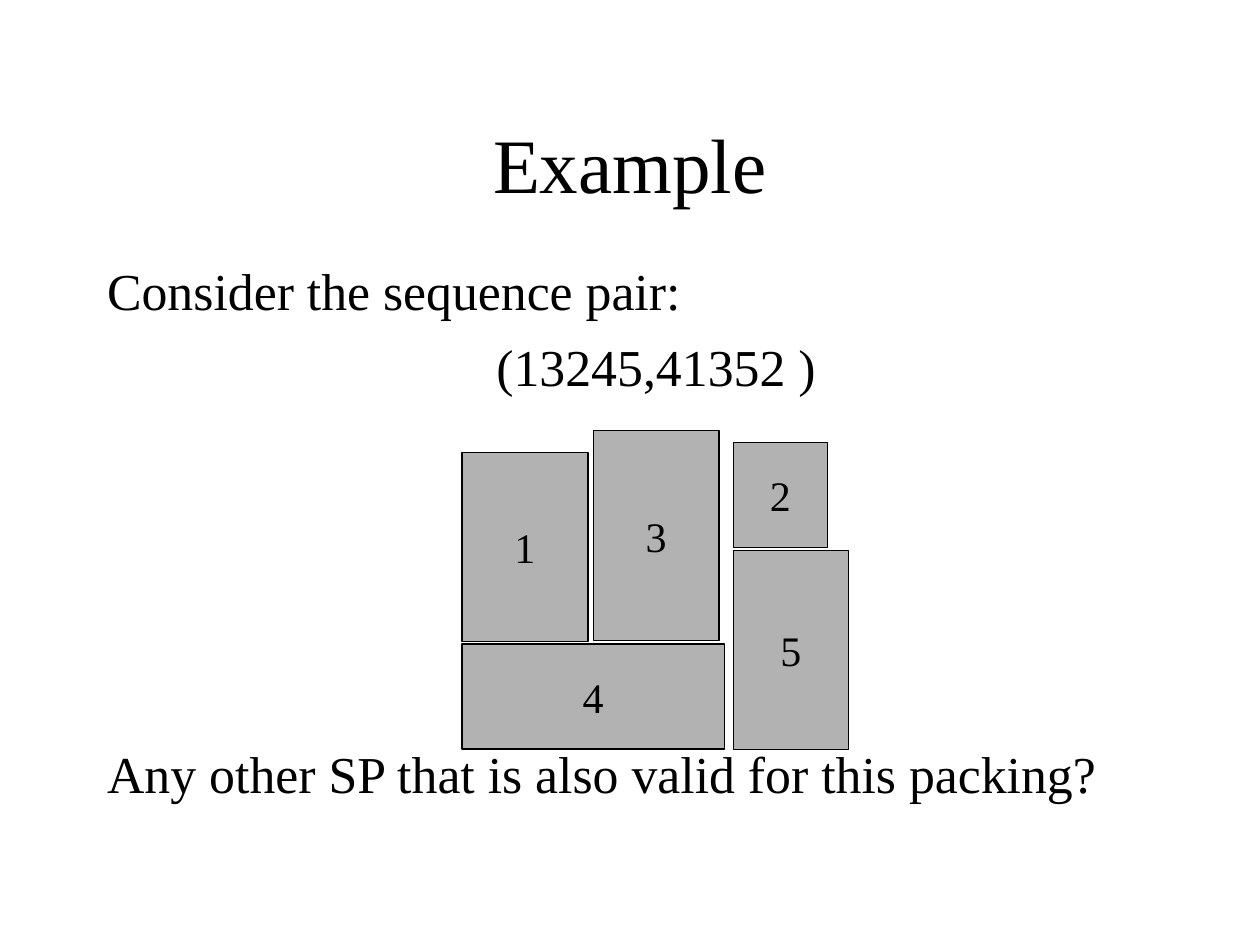
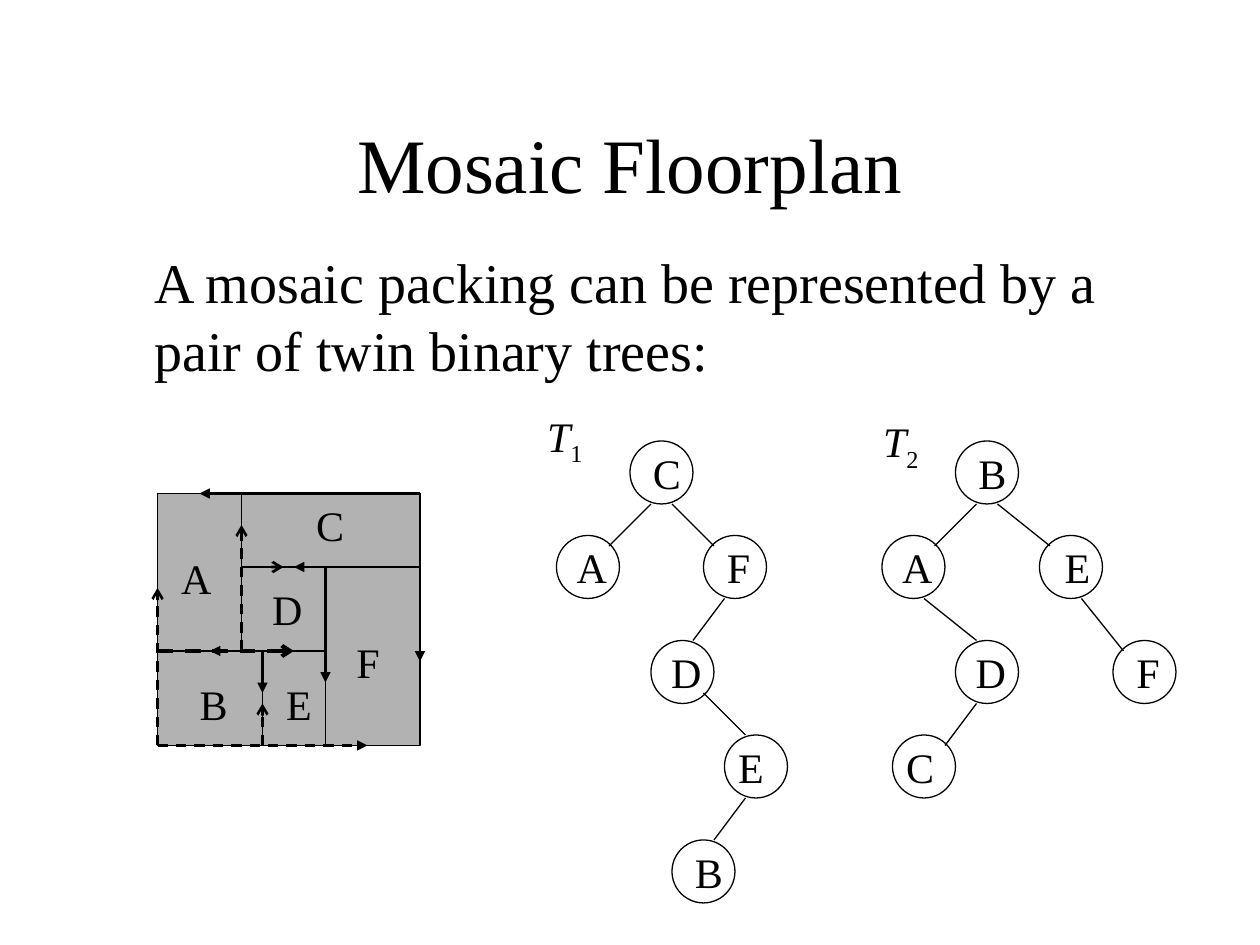
from lxml import etree
from pptx import Presentation
from pptx.dml.color import RGBColor
from pptx.enum.dml import MSO_LINE
from pptx.enum.shapes import MSO_CONNECTOR, MSO_SHAPE
from pptx.enum.text import MSO_ANCHOR, MSO_AUTO_SIZE, PP_ALIGN
from pptx.oxml.ns import qn
from pptx.util import Pt

BLACK = RGBColor(0x00, 0x00, 0x00)
GRAY = RGBColor(0xB2, 0xB2, 0xB2)
FONT = "Times New Roman"
LEFT, CENTER = PP_ALIGN.LEFT, PP_ALIGN.CENTER
MIDDLE = MSO_ANCHOR.MIDDLE
NO_FIT = MSO_AUTO_SIZE.NONE
RECT, OVAL = MSO_SHAPE.RECTANGLE, MSO_SHAPE.OVAL
STRAIGHT = MSO_CONNECTOR.STRAIGHT
DASH = MSO_LINE.DASH

GRID = 6
NODE = 6
LABEL_SIZE = 24
LABEL_HEIGHT = 36
LABEL_WIDTHS = {"A": 31.7, "B": 30.2, "C": 30.2, "D": 31.7, "E": 28.8, "F": 27.4}

EXAMPLE = {
    "title": "Example",
    "body_box": (54, 144, 642, 324),
    "size": 29.6,
    "indent": 0,
    "paragraphs": [
        ("Consider the sequence pair:", LEFT, 0),
        ("(13245,41352 )", CENTER, 8),
        ("Any other SP that is also valid for this packing?", LEFT, 197),
    ],
}
MOSAIC = {
    "title": "Mosaic Floorplan",
    "body_box": (54, 138, 612, 324),
    "size": 32,
    "indent": 27,
    "paragraphs": [
        ("A mosaic packing can be represented by a pair of twin binary trees:", LEFT, 0),
    ],
}

BLOCKS = [
    ("2", (419, 252.75, 54, 60)),
    ("5", (419, 314.5, 66, 114)),
    ("4", (264, 368, 150, 60)),
    ("1", (264, 258.5, 72, 108)),
    ("3", (339, 246, 72, 120)),
]

FLOOR = (15, 47, 25, 24)
WALLS = [
    (23, 47, 23, 62), (23, 54, 40, 54), (31, 54, 31, 71),
    (15, 62, 31, 62), (25, 62, 25, 71),
]
ROOMS = [
    ("A", 96.5, 312), ("B", 107, 384), ("C", 173.5, 282),
    ("D", 148.5, 330), ("E", 156.5, 384), ("F", 196.5, 360),
]
SOLID_ARROWS = [
    (40, 47, 19, 47), (40, 47, 40, 63), (40, 54, 28, 54),
    (31, 54, 31, 65), (31, 62, 20, 62), (25, 62, 25, 66),
]
DASHED_ARROWS = [
    ((15, 71, 15, 56), 1.5, "arrow"),
    ((15, 62, 28, 62), 2.25, "arrow"),
    ((15, 71, 35, 71), 1.5, "triangle"),
    ((23, 62, 23, 50), 1.5, "arrow"),
    ((25, 71, 25, 67), 1.5, "arrow"),
    ((23, 54, 27, 54), 1.5, "arrow"),
]

TREES = [
    {
        "index": "1",
        "name_at": (305.5, 231),
        "nodes": [
            ("C", 60, 42, 6), ("A", 53, 51, 4.5), ("F", 67, 51, 6.25),
            ("D", 62, 61, 4.5), ("E", 69, 70, 0.75), ("B", 64, 80, 6),
        ],
        "edges": [
            (62, 48, 58, 52), (64, 48, 68, 52), (69, 57, 66, 61),
            (67, 66, 71, 70), (71, 76, 68, 80),
        ],
    },
    {
        "index": "2",
        "name_at": (497.5, 234),
        "nodes": [
            ("B", 91, 42, 6), ("A", 84, 51, 4.5), ("E", 99, 51, 7.25),
            ("D", 91, 61, 4.5), ("F", 106, 61, 6.25), ("C", 85, 70, 0.75),
        ],
        "edges": [
            (93, 48, 89, 52), (95, 48, 100, 52), (88, 57, 93, 61),
            (103, 57, 107, 62), (93, 67, 90, 71),
        ],
    },
]


def pts(values):
    return [Pt(v) for v in values]


def on_grid(cells):
    return [c * GRID for c in cells]


def style(p, size):
    for r in p.runs:
        r.font.name = FONT
        r.font.size = Pt(size)
        r.font.color.rgb = BLACK


def place(sp, box):
    sp.left, sp.top, sp.width, sp.height = pts(box)


def add_slide(prs, content):
    s = prs.slides.add_slide(prs.slide_layouts[1])
    title, body = s.placeholders
    place(title, (54, 48, 612, 90))
    title.text_frame.text = content["title"]
    title.text_frame.vertical_anchor = MIDDLE
    title.text_frame.auto_size = NO_FIT
    title.text_frame.paragraphs[0].alignment = CENTER
    style(title.text_frame.paragraphs[0], 44)

    place(body, content["body_box"])
    tf = body.text_frame
    tf.text = "\n".join(text for text, _, _ in content["paragraphs"])
    tf.auto_size = NO_FIT
    for p, (_, align, before) in zip(tf.paragraphs, content["paragraphs"]):
        pPr = p._p.get_or_add_pPr()
        pPr.set("marL", str(Pt(content["indent"])))
        pPr.set("indent", "0")
        etree.SubElement(pPr, qn("a:buNone"))
        p.alignment = align
        p.space_before = Pt(before)
        style(p, content["size"])
    return s


def add_outline(s, kind, box, fill=None):
    sp = s.shapes.add_shape(kind, *pts(box))
    sp.shadow.inherit = False
    if fill is None:
        sp.fill.background()
    else:
        sp.fill.solid()
        sp.fill.fore_color.rgb = fill
    sp.line.color.rgb = BLACK
    sp.line.width = Pt(0.75)
    return sp


def add_line(s, cells, width=0.75, dash=None, head=None):
    line = s.shapes.add_connector(STRAIGHT, *pts(on_grid(cells)))
    line.line.color.rgb = BLACK
    line.line.width = Pt(width)
    if dash is not None:
        line.line.dash_style = dash
    spPr = line._element.spPr
    if head:
        etree.SubElement(spPr.find(qn("a:ln")), qn("a:tailEnd"), type=head)
    etree.SubElement(spPr, qn("a:effectLst"))


def add_label(s, left, top, text, width, height=LABEL_HEIGHT):
    sp = s.shapes.add_textbox(*pts((left, top, width, height)))
    tf = sp.text_frame
    tf.word_wrap = False
    p = tf.paragraphs[0]
    p.text = text
    style(p, LABEL_SIZE)
    return p


def add_tree(s, tree):
    for edge in tree["edges"]:
        add_line(s, edge)
    for letter, x, y, shift in tree["nodes"]:
        left, top, side = on_grid((x, y, NODE))
        add_outline(s, OVAL, (left, top, side, side))
        add_label(s, left + shift, top, letter, LABEL_WIDTHS[letter])
    p = add_label(s, *tree["name_at"], "T", 34.5, 40)
    p.runs[0].font.italic = True
    r = p.add_run()
    r.text = tree["index"]
    style(p, LABEL_SIZE)
    r._r.get_or_add_rPr().set("baseline", "-25000")


def build_example(prs):
    s = add_slide(prs, EXAMPLE)
    for number, box in BLOCKS:
        sp = add_outline(s, RECT, box, GRAY)
        tf = sp.text_frame
        tf.text = number
        tf.word_wrap = False
        tf.vertical_anchor = MIDDLE
        tf.paragraphs[0].alignment = CENTER
        style(tf.paragraphs[0], LABEL_SIZE)


def build_mosaic(prs):
    s = add_slide(prs, MOSAIC)
    add_outline(s, RECT, on_grid(FLOOR), GRAY)
    for wall in WALLS:
        add_line(s, wall)
    for letter, left, top in ROOMS:
        add_label(s, left, top, letter, LABEL_WIDTHS[letter])
    for arrow in SOLID_ARROWS:
        add_line(s, arrow, 1.5, head="triangle")
    for tree in TREES:
        add_tree(s, tree)
    for arrow, width, head in DASHED_ARROWS:
        add_line(s, arrow, width, DASH, head)


def main():
    prs = Presentation()
    prs.slide_width, prs.slide_height = Pt(720), Pt(540)
    build_example(prs)
    build_mosaic(prs)
    prs.save("out.pptx")


if __name__ == "__main__":
    main()
